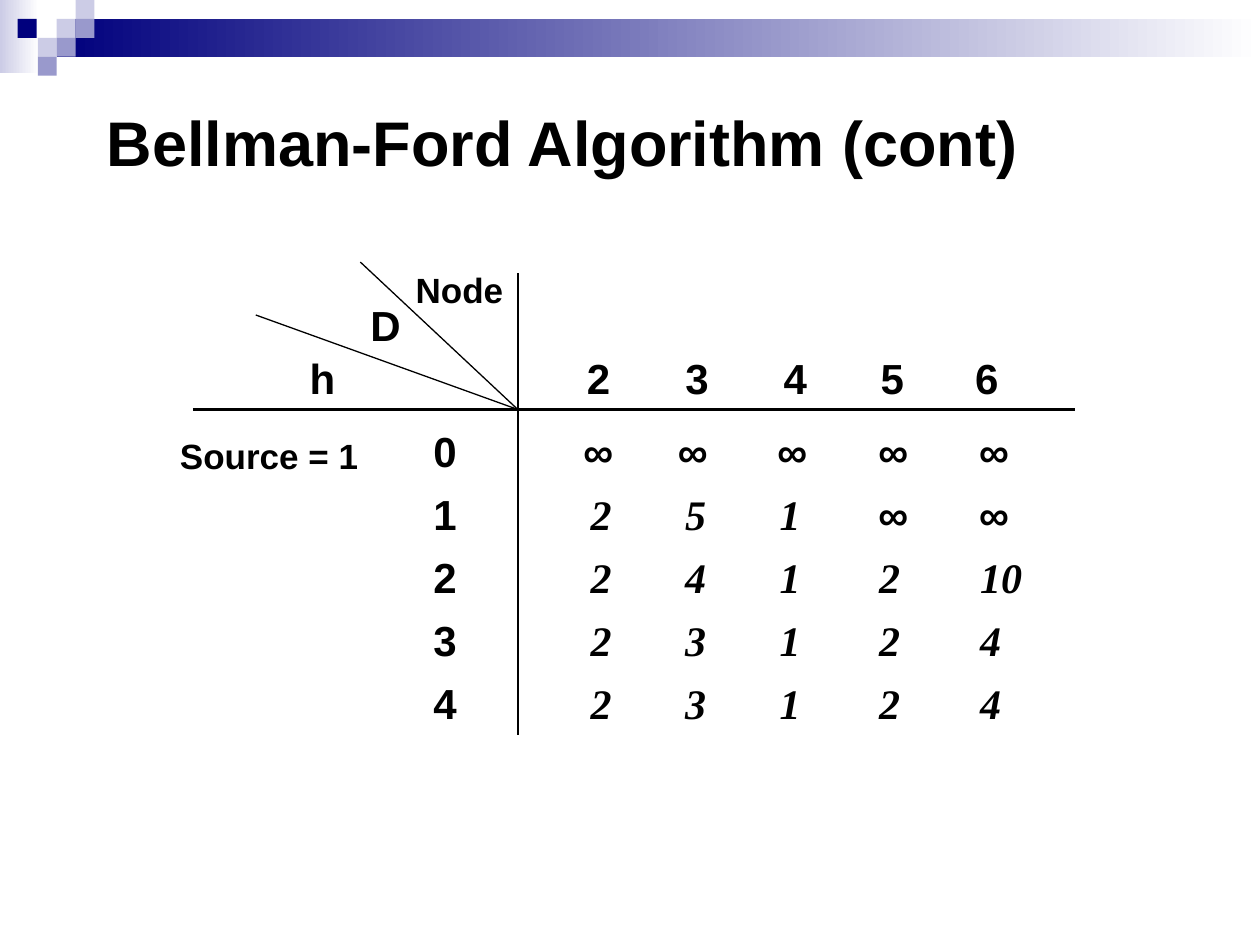
"""Build the Bellman-Ford distance table slide."""
from pptx import Presentation, util as u
from pptx.dml.color import RGBColor
from pptx.enum import shapes, text
from pptx.oxml.ns import qn
from lxml import etree

COLORS = {"ink": "000000", "white": "FFFFFF", "navy": "00007D",
          "pale": "CCCCE6", "violet": "9999CC"}
INFINITY = "∞"
HEADER_LEFTS = [4.56, 5.34, 6.12, 6.89, 7.64]
VALUE_LEFTS = [4.59, 5.34, 6.09, 6.88, 7.68]
INFINITY_LEFTS = [4.53, 5.28, 6.07, 6.87, 7.67]
DISTANCES = [
    [INFINITY] * 5,
    ["2", "5", "1", INFINITY, INFINITY],
    ["2", "4", "1", "2", "10"],
    ["2", "3", "1", "2", "4"],
    ["2", "3", "1", "2", "4"],
]
ROW_TOP, ROW_STEP = 3.33, 0.5
CORNER = (4.11, 3.25)


def color(name):
    """Return the named colour."""
    return RGBColor.from_string(COLORS[name])


def add_block(slide, left, top, width, height, fill, fade=False):
    """Add a borderless rectangle, solid or fading to white at its right."""
    shape = slide.shapes.add_shape(
        shapes.MSO_SHAPE.RECTANGLE, u.Inches(left), u.Inches(top),
        u.Inches(width), u.Inches(height))
    shape.shadow.inherit = False
    shape.line.fill.background()
    if fade:
        shape.fill.gradient()
        shape.fill.gradient_angle = 180
        for stop, name in zip(shape.fill.gradient_stops, ("white", fill)):
            stop.color.rgb = color(name)
    else:
        shape.fill.solid()
        shape.fill.fore_color.rgb = color(fill)


def add_text(slide, content, left, top, width, height=0.5, size=24,
             font="Arial", italic=False, wrap=False,
             anchor=text.MSO_ANCHOR.TOP):
    """Add a bold text box."""
    box = slide.shapes.add_textbox(u.Inches(left), u.Inches(top),
                                   u.Inches(width), u.Inches(height))
    frame = box.text_frame
    frame.word_wrap = wrap
    frame.auto_size = (text.MSO_AUTO_SIZE.NONE if wrap
                       else text.MSO_AUTO_SIZE.SHAPE_TO_FIT_TEXT)
    frame.vertical_anchor = anchor
    run = frame.paragraphs[0].add_run()
    run.text = content
    run.font.name = font
    run.font.size = u.Pt(size)
    run.font.bold = True
    run.font.italic = italic
    run.font.color.rgb = color("ink")


def add_line(slide, start, end, weight):
    """Add a straight line between two points."""
    line = slide.shapes.add_connector(
        shapes.MSO_CONNECTOR.STRAIGHT, *map(u.Inches, (*start, *end)))
    line.line.color.rgb = color("ink")
    line.line.width = u.Pt(weight)
    etree.SubElement(line._element.spPr, qn("a:effectLst"))


def add_banner(slide):
    """Add the fading bars and the small squares at the top."""
    add_block(slide, 0, 0, 0.31, 0.58, "pale", fade=True)
    add_block(slide, 0.45, 0.15, 9.55, 0.3, "navy", fade=True)
    squares = [(0.45, 0.15, "pale"), (0.6, 0, "pale"), (0.6, 0.15, "violet"),
               (0.3, 0.3, "pale"), (0.14, 0.15, "navy"),
               (0.45, 0.3, "violet"), (0.3, 0.45, "violet")]
    for left, top, fill in squares:
        add_block(slide, left, top, 0.15, 0.15, fill)


def add_headings(slide):
    """Add the rules, the corner labels and the node numbers."""
    add_line(slide, (1.53, 3.25), (8.53, 3.25), 1.5)
    add_line(slide, (4.11, 2.17), (4.11, 5.83), 1.5)
    for end in ((2.86, 2.08), (2.03, 2.5)):
        add_line(slide, CORNER, end, 0.75)
    add_text(slide, "h", 2.36, 2.75, 0.41)
    add_text(slide, "D", 2.84, 2.33, 0.45)
    add_text(slide, "Node", 3.2, 2.08, 0.92, 0.44, size=20)
    add_text(slide, "Source = 1", 1.33, 3.4, 1.64, 0.44, size=20)
    for node, left in enumerate(HEADER_LEFTS, start=2):
        add_text(slide, str(node), left, 2.75, 0.39)


def add_distances(slide):
    """Add one row of distances for each hop count."""
    for hops, distances in enumerate(DISTANCES):
        top = ROW_TOP + hops * ROW_STEP
        add_text(slide, str(hops), 3.34, top, 0.39)
        for column, value in enumerate(distances):
            if value == INFINITY:
                add_text(slide, value, INFINITY_LEFTS[column], top, 0.45,
                         italic=True)
            else:
                add_text(slide, value, VALUE_LEFTS[column], top,
                         0.2 + 0.17 * len(value),
                         font="Times New Roman", italic=True)


def main():
    """Build and save the slide."""
    presentation = Presentation()
    presentation.slide_width = u.Inches(10)
    presentation.slide_height = u.Inches(7.5)
    slide = presentation.slides.add_slide(presentation.slide_layouts[6])
    add_banner(slide)
    add_text(slide, "Bellman-Ford Algorithm (cont)", 0.75, 0.5, 8.5, 1.25,
             size=36, wrap=True, anchor=text.MSO_ANCHOR.MIDDLE)
    add_headings(slide)
    add_distances(slide)
    presentation.save("out.pptx")


if __name__ == "__main__":
    main()
